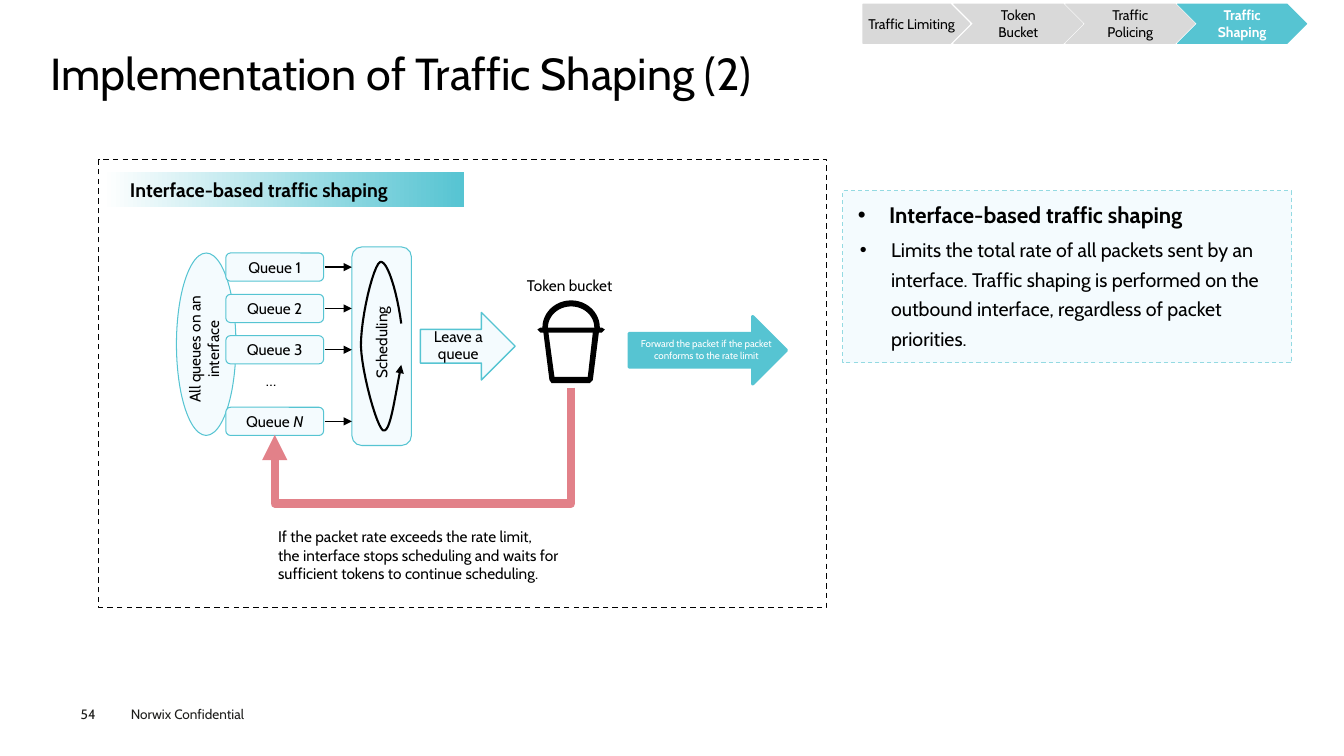
import math

import lxml.etree
import pptx
import pptx.dml.color
import pptx.enum.dml
import pptx.enum.shapes
import pptx.enum.text
import pptx.oxml.ns
import pptx.util

SHAPE = pptx.enum.shapes.MSO_SHAPE
LINK = pptx.enum.shapes.MSO_CONNECTOR
ALIGN = pptx.enum.text.PP_ALIGN
ANCHOR = pptx.enum.text.MSO_ANCHOR
DASH = pptx.enum.dml.MSO_LINE.DASH
rgb = pptx.dml.color.RGBColor.from_string
inch = pptx.util.Inches
qn = pptx.oxml.ns.qn

FONT = "Cabin"
TEAL, PALE, GREY, ROSE = "56C4D2", "F4FBFE", "D9D9D9", "E28189"
BLACK, WHITE = "000000", "FFFFFF"

deck = pptx.Presentation()
deck.slide_width, deck.slide_height = inch(13.33), inch(7.5)
slide = deck.slides.add_slide(deck.slide_layouts[5])
shapes = slide.shapes


def place(box, text="", kind=None, fill=None, edge=None, width=0.75, dash=None,
          size=11, colour=BLACK, bold=False, align=ALIGN.CENTER,
          anchor=ANCHOR.MIDDLE, insets=(0.1, 0.05), wrap=True, turn=0):
    """Add a shape of the given kind, or a text box if there is none."""
    frame = [inch(length) for length in box]
    if kind is None:
        item = shapes.add_textbox(*frame)
    else:
        item = shapes.add_shape(kind, *frame)
        item.shadow.inherit = False
        item.fill.background()
        item.line.fill.background()
    if fill:
        item.fill.solid()
        item.fill.fore_color.rgb = rgb(fill)
    if edge:
        item.line.color.rgb = rgb(edge)
        item.line.width = pptx.util.Pt(width)
        item.line.dash_style = dash
    item.rotation = turn
    body = item.text_frame
    body.text = text
    body.word_wrap = wrap
    body.vertical_anchor = anchor
    body.margin_left = body.margin_right = inch(insets[0])
    body.margin_top = body.margin_bottom = inch(insets[1])
    for paragraph in body.paragraphs:
        paragraph.alignment = align
        for run in paragraph.runs:
            run.font.name = FONT
            run.font.size = pptx.util.Pt(size)
            run.font.bold = bold
            run.font.color.rgb = rgb(colour)
    return item


def make_arrow(item, colour, width):
    """Style a line with a triangular head at its end and no shadow."""
    item.line.color.rgb = rgb(colour)
    item.line.width = pptx.util.Pt(width)
    outline = item._element.spPr.find(qn("a:ln"))
    lxml.etree.SubElement(outline, qn("a:tailEnd"), type="triangle")
    lxml.etree.SubElement(item._element.spPr, qn("a:effectLst"))


# Title and footer
title = shapes.title
title.left, title.top, title.width, title.height = map(inch, (0.5, 0.49, 12.31, 0.53))
heading = title.text_frame
heading.text = "Implementation of Traffic Shaping (2)"
heading.margin_left = heading.margin_right = heading.margin_top = heading.margin_bottom = 0
heading.vertical_anchor = ANCHOR.MIDDLE
heading.paragraphs[0].alignment = ALIGN.LEFT
heading.paragraphs[0].line_spacing = 0.9
heading_font = heading.paragraphs[0].runs[0].font
heading_font.name, heading_font.size = FONT, pptx.util.Pt(32)
heading_font.color.rgb = rgb(BLACK)

footer = dict(size=9.7, colour="1D1D1B", align=ALIGN.LEFT, anchor=ANCHOR.TOP)
place((1.2, 6.95, 1.6, 0.27), "Norwix Confidential", **footer)
place((0.8, 7, 0.55, 0.16), "54", insets=(0, 0), **footer)

# Chapter steps
place((8.56, 0.04, 1.06, 0.39), "Traffic Limiting", SHAPE.PENTAGON, GREY, GREY,
      size=10, insets=(0.04, 0))
for step, name in enumerate(["Token Bucket", "Traffic Policing", "Traffic Shaping"]):
    current = name == "Traffic Shaping"
    tint = TEAL if current else GREY
    place((9.46 + 1.11 * step, 0.04, 1.28, 0.39), name, SHAPE.CHEVRON, tint, tint,
          size=10, colour=WHITE if current else BLACK, bold=current)

# Diagram frame and its banner
place((0.98, 1.58, 7.22, 4.45), kind=SHAPE.RECTANGLE, edge=BLACK, width=1, dash=DASH)
banner = place((1.02, 1.71, 3.58, 0.34), kind=SHAPE.FLOWCHART_PROCESS)
banner.fill.gradient()
banner.fill.gradient_angle = 180
for stop, tint in zip(banner.fill.gradient_stops, (TEAL, WHITE)):
    stop.color.rgb = rgb(tint)
place((1.19, 1.72, 3.32, 0.33), "Interface-based traffic shaping", size=14, bold=True,
      align=ALIGN.LEFT)

# Queues feeding the scheduler
place((1.75, 2.51, 0.59, 1.81), kind=SHAPE.OVAL, fill=PALE, edge=TEAL)
place((3.49, 2.45, 0.59, 1.97), kind=SHAPE.ROUNDED_RECTANGLE, fill=PALE, edge=TEAL)
for number, top in [("1", 2.51), ("2", 2.92), ("3", 3.33), ("N", 4.04)]:
    queue = place((2.24, top, 0.97, 0.28), "Queue ", SHAPE.ROUNDED_RECTANGLE, PALE, TEAL)
    label = queue.text_frame.paragraphs[0]
    index = label.add_run()
    index.text = number
    index.font.name, index.font.size = FONT, pptx.util.Pt(11)
    index.font.color.rgb = rgb(BLACK)
    index.font.italic = number == "N"
    middle = inch(top + 0.14)
    feed = shapes.add_connector(LINK.STRAIGHT, inch(3.22), middle, inch(3.49), middle)
    make_arrow(feed, BLACK, 1)
place((2.54, 3.63, 0.3, 0.28), "…", wrap=False)
place((1.35, 3.23, 1.34, 0.47), "All queues on an interface", turn=270)
place((3.3, 3.26, 0.96, 0.28), "Scheduling", wrap=False, turn=270)

# Scheduling loop: cubic curves, each starting where the last one ended
curves = [
    ((3.94, 2.9), (3.84, 2.57), (3.77, 2.6)),
    ((3.7, 2.64), (3.58, 3.15), (3.58, 3.43)),
    ((3.59, 3.71), (3.74, 4.24), (3.8, 4.27)),
    ((3.87, 4.3), (3.91, 3.98), (3.98, 3.62)),
]
loop = [(3.98, 3.21)]
for curve in curves:
    knots = (loop[-1], *curve)
    for step in range(1, 13):
        t = step / 12
        weights = [math.comb(3, k) * t**k * (1 - t)**(3 - k) for k in range(4)]
        loop.append(tuple(sum(w * knot[axis] for w, knot in zip(weights, knots))
                          for axis in (0, 1)))
loop = [(inch(x), inch(y)) for x, y in loop]
builder = shapes.build_freeform(*loop[0])
builder.add_line_segments(loop[1:], close=False)
scheduling = builder.convert_to_shape()
scheduling.fill.background()
make_arrow(scheduling, BLACK, 1.5)

# Token bucket: outline, then the openings of the lid and the body
arc = [math.pi * step / 24 for step in range(25)]
outer_lid, inner_lid = (
    [(5.665 - rx * math.cos(a), 3.25 - ry * math.sin(a)) for a in arc]
    for rx, ry in ((0.285, 0.27), (0.23, 0.21)))
rim_and_body = [(5.97, 3.25), (6, 3.27), (5.97, 3.3), (5.94, 3.3), (5.88, 3.77),
                (5.85, 3.8), (5.47, 3.8), (5.45, 3.77), (5.39, 3.3), (5.36, 3.3),
                (5.33, 3.27), (5.36, 3.25)]
body_opening = [(5.83, 3.74), (5.5, 3.74), (5.44, 3.3), (5.88, 3.3)]
builder = None
for contour in (outer_lid + rim_and_body, body_opening, inner_lid):
    points = [(inch(x), inch(y)) for x, y in contour]
    if builder:
        builder.move_to(*points[0])
    else:
        builder = shapes.build_freeform(*points[0])
    builder.add_line_segments(points[1:], close=True)
bucket = builder.convert_to_shape()
bucket.shadow.inherit = False
bucket.fill.solid()
bucket.fill.fore_color.rgb = rgb(BLACK)
bucket.line.fill.background()
place((5.08, 2.69, 1.14, 0.28), "Token bucket", wrap=False)

# Flow in and out of the bucket
place((4.17, 3.1, 0.94, 0.67), kind=SHAPE.RIGHT_ARROW, fill=PALE, edge=TEAL, width=1)
leave = place((4.09, 3.25, 0.91, 0.36), "Leave a queue")
leave.text_frame.paragraphs[0].line_spacing = 0.9
place((6.24, 3.14, 1.56, 0.67), kind=SHAPE.RIGHT_ARROW, fill=TEAL, edge=TEAL, width=2.25)
place((6.11, 3.17, 1.79, 0.59),
      "Forward the packet if the packet conforms to the rate limit", size=7, colour=WHITE)

# Way back to the queues: an elbow turned a quarter, bending below both of its ends
wait = shapes.add_connector(LINK.ELBOW, inch(3.96), inch(2.61), inch(4.43), inch(5.55))
wait._element.spPr.find(qn("a:xfrm")).set("rot", "5400000")
bends = wait._element.spPr.find(qn("a:prstGeom")).find(qn("a:avLst"))
lxml.etree.SubElement(bends, qn("a:gd"), name="adj1", fmla="val 244700")
make_arrow(wait, ROSE, 6)
place((2.66, 5.11, 3.32, 0.79),
      "If the packet rate exceeds the rate limit,\n"
      "the interface stops scheduling and waits for sufficient tokens to continue scheduling.",
      align=ALIGN.LEFT)

# Explanation
place((8.36, 1.89, 4.45, 1.71), kind=SHAPE.RECTANGLE, fill=PALE, edge="94DAE2", dash=DASH)
points = [
    ((8.41, 1.88, 4.3, 0.43), "Interface-based traffic shaping", 16, True),
    ((8.43, 2.25, 4.3, 1.28), "Limits the total rate of all packets sent by an interface. "
     "Traffic shaping is performed on the outbound interface, regardless of packet "
     "priorities.", 14, False),
]
for box, text, size, bold in points:
    point = place(box, text, size=size, bold=bold, align=ALIGN.LEFT)
    paragraph = point.text_frame.paragraphs[0]
    paragraph.line_spacing = 1.25
    layout = paragraph._p.get_or_add_pPr()
    layout.set("marL", str(inch(0.31)))
    layout.set("indent", str(-inch(0.31)))
    lxml.etree.SubElement(layout, qn("a:buFont"), typeface="Arial")
    lxml.etree.SubElement(layout, qn("a:buChar"), char="•")

deck.save("out.pptx")
